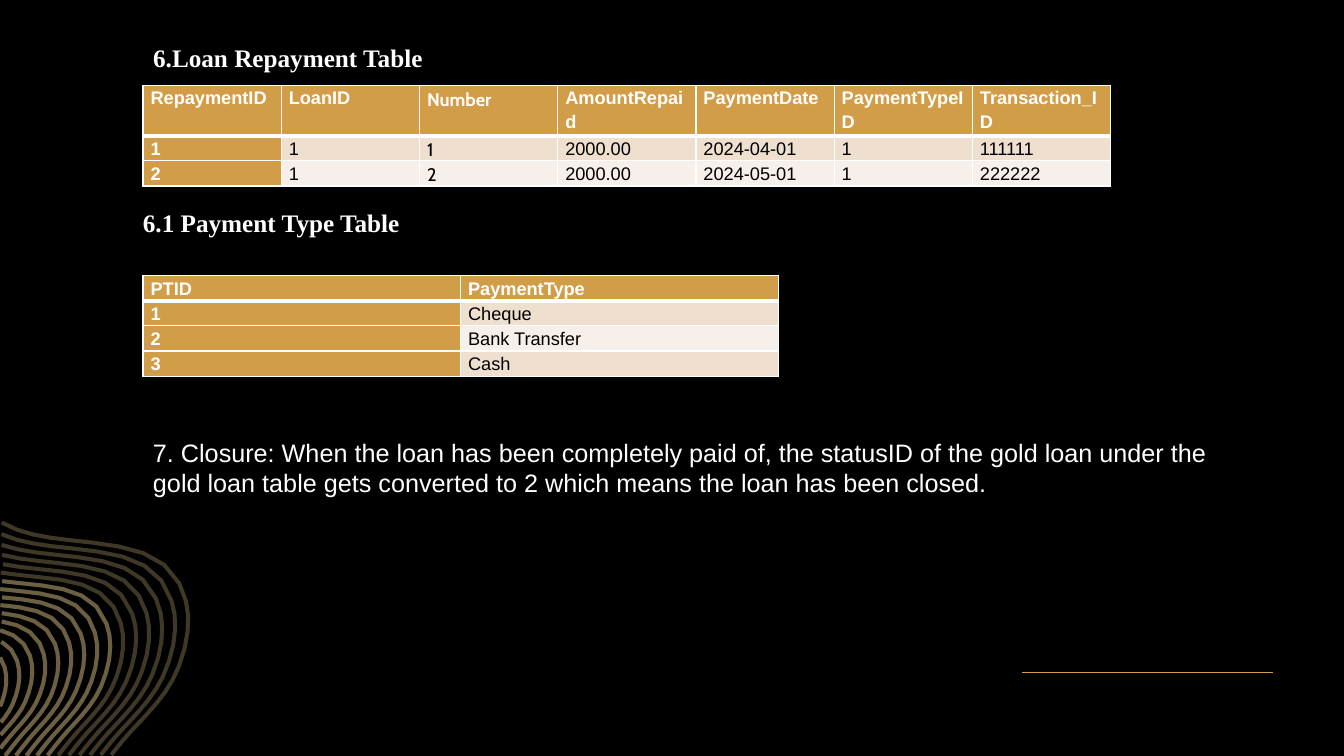
import math

import pptx
import pptx.dml.color
import pptx.enum.shapes
import pptx.enum.text
import pptx.oxml
import pptx.oxml.ns
import pptx.util

Pt = pptx.util.Pt
WIDTH, HEIGHT = 960, 540
GOLD, SAND, WHITE, BLACK = "D29D48", "D6BB82", "FFFFFF", "000000"
BANDING = ["EEDFCF", "F7EFE9"]
WAVE_COUNT, INNER_WAVE_COUNT, WAVE_THICKNESS = 15, 9, 2.9
OUTER_WAVE = [(0, 370.8), (15.8, 380.9), (36, 383), (57.6, 385.2),
              (89.3, 388.8), (121.7, 391.7), (132.5, 423.4),
              (138.2, 438.5), (136.8, 457.9), (128.2, 478.8),
              (121.7, 494.6), (110.2, 506.9), (98.6, 519.1),
              (90, 528), (82, 538), (75.6, 547.2)]
INNER_WAVE = [(-93.2, 441.4), (-77.4, 451.5), (-57.2, 453.6), (-35.6, 455.8),
              (-19.1, 456.8), (-1.8, 458.5), (4, 474),
              (7.2, 483.1), (6.5, 492.5), (2.2, 503.3),
              (-0.7, 511.2), (-6.5, 517.7), (-12.2, 524.2),
              (-17, 530), (-24, 539), (-30.2, 547.2)]
REPAYMENTS = [
    ["RepaymentID", "LoanID", "Number", "AmountRepaid", "PaymentDate",
     "PaymentTypeID", "Transaction_ID"],
    ["1", "1", "1", "2000.00", "2024-04-01", "1", "111111"],
    ["2", "1", "2", "2000.00", "2024-05-01", "1", "222222"],
]
PAYMENT_TYPES = [["PTID", "PaymentType"], ["1", "Cheque"],
                 ["2", "Bank Transfer"], ["3", "Cash"]]
CLOSURE = ("7. Closure: When the loan has been completely paid of, the statusID "
           "of the gold loan under the gold loan table gets converted to 2 "
           "which means the loan has been closed.")


def rgb(color):
    """Return the colour for a hex string."""
    return pptx.dml.color.RGBColor.from_string(color)


def write(tf, text, size=18, font="Arial", color=WHITE, bold=False, spacing=1.0):
    """Write one left-aligned paragraph into a text frame."""
    tf.word_wrap = True
    p = tf.paragraphs[0]
    p.alignment = pptx.enum.text.PP_ALIGN.LEFT
    p.line_spacing = spacing
    r = p.add_run()
    r.text = text
    r.font.size = Pt(size)
    r.font.name = font
    r.font.bold = bold
    r.font.color.rgb = rgb(color)


def add_text(slide, box, text, **fmt):
    """Add a text box that grows with its text."""
    sp = slide.shapes.add_textbox(*map(Pt, box))
    write(sp.text_frame, text, **fmt)
    sp.text_frame.auto_size = pptx.enum.text.MSO_AUTO_SIZE.SHAPE_TO_FIT_TEXT


def set_title(slide, box, text, **fmt):
    """Place and format the title placeholder."""
    sp = slide.shapes.title
    sp.left, sp.top, sp.width, sp.height = map(Pt, box)
    tf = sp.text_frame
    tf.vertical_anchor = pptx.enum.text.MSO_ANCHOR.TOP
    tf.auto_size = pptx.enum.text.MSO_AUTO_SIZE.NONE
    write(tf, text, **fmt)


def set_borders(cell, **widths):
    """Draw white borders on a cell, with widths keyed by side."""
    tcPr = cell._tc.get_or_add_tcPr()
    for i, side in enumerate("LRTB"):
        ln = pptx.oxml.parse_xml(
            f'<a:ln{side} {pptx.oxml.ns.nsdecls("a")} w="{Pt(widths.get(side, 1))}">'
            f'<a:solidFill><a:srgbClr val="{WHITE}"/></a:solidFill></a:ln{side}>')
        tcPr.insert(i, ln)


def add_table(slide, left, top, width, header_height, rows, cabin_col=None):
    """Add a gold table with a header row, a header column and banded cells."""
    row_height = 17.9
    height = header_height + row_height * (len(rows) - 1)
    table = slide.shapes.add_table(
        len(rows), len(rows[0]), Pt(left), Pt(top), Pt(width), Pt(height)).table
    for col in table.columns:
        col.width = Pt(width / len(rows[0]))
    for i, row in enumerate(rows):
        table.rows[i].height = Pt(row_height if i else header_height)
        for j, text in enumerate(row):
            cell = table.cell(i, j)
            cell.margin_left = cell.margin_right = Pt(5.4)
            cell.margin_top = cell.margin_bottom = 0
            header = i == 0 or j == 0
            cell.fill.solid()
            cell.fill.fore_color.rgb = rgb(GOLD if header else BANDING[(i - 1) % 2])
            set_borders(cell, T=3 if i == 1 else 1, B=1 if i else 3)
            write(cell.text_frame, text, size=13, bold=header, spacing=1.15,
                  color=WHITE if header else BLACK,
                  font="Cabin" if j == cabin_col else "Arial")


def sample_curve(controls, steps=24):
    """Return points along a chain of cubic curves."""
    points = [controls[0]]
    for i in range(0, len(controls) - 1, 3):
        for n in range(1, steps + 1):
            t = n / steps
            weights = [math.comb(3, k) * t ** k * (1 - t) ** (3 - k) for k in range(4)]
            points.append(tuple(sum(w * c[axis] for w, c in zip(weights, controls[i:i + 4]))
                                for axis in (0, 1)))
    return points


def wave_points(share, stride=5):
    """Return the on-slide wave at a share of the way from outer to inner."""
    controls = [(xo + (xi - xo) * share, yo + (yi - yo) * share)
                for (xo, yo), (xi, yi) in zip(OUTER_WAVE, INNER_WAVE)]
    edge = sample_curve(controls)
    middle = []
    for (x1, y1), (x2, y2) in zip(edge, edge[1:]):
        scale = WAVE_THICKNESS / 2 / math.hypot(x2 - x1, y2 - y1)
        x, y = x1 - (y2 - y1) * scale, y1 + (x2 - x1) * scale
        if x >= 0 and y <= HEIGHT:
            middle.append((Pt(x), Pt(y)))
    return middle[:-1:stride] + middle[-1:]


def add_waves(slide, count):
    """Add the innermost waves as one translucent freeform."""
    last = WAVE_COUNT - 1
    waves = [wave_points(i / last) for i in range(WAVE_COUNT - count, WAVE_COUNT)]
    builder = slide.shapes.build_freeform(*waves[0][0])
    for i, wave in enumerate(waves):
        if i:
            builder.move_to(*wave[0])
        builder.add_line_segments(wave[1:], close=False)
    sp = builder.convert_to_shape()
    sp.shadow.inherit = False
    sp.fill.background()
    sp.line.width = Pt(WAVE_THICKNESS)
    sp.line.color.rgb = rgb(SAND)
    color = sp._element.spPr.find(".//" + pptx.oxml.ns.qn("a:srgbClr"))
    color.append(pptx.oxml.parse_xml(
        f'<a:alpha {pptx.oxml.ns.nsdecls("a")} val="30000"/>'))


def add_line(slide, x1, y1, x2, y2):
    """Add a thin gold line."""
    line = slide.shapes.add_connector(
        pptx.enum.shapes.MSO_CONNECTOR.STRAIGHT, Pt(x1), Pt(y1), Pt(x2), Pt(y2))
    line.line.color.rgb = rgb(GOLD)
    line.line.width = Pt(0.75)
    line._element.spPr.append(pptx.oxml.parse_xml(
        f'<a:effectLst {pptx.oxml.ns.nsdecls("a")}/>'))


def main():
    """Build the loan repayment slide."""
    prs = pptx.Presentation()
    prs.slide_width, prs.slide_height = Pt(WIDTH), Pt(HEIGHT)
    slide = prs.slides.add_slide(prs.slide_layouts[5])
    slide.background.fill.solid()
    slide.background.fill.fore_color.rgb = rgb(BLACK)
    add_line(slide, 909.4, 480.2, 730.1, 480.2)
    add_waves(slide, WAVE_COUNT)
    add_waves(slide, INNER_WAVE_COUNT)
    heading = dict(font="Times New Roman", bold=True)
    set_title(slide, (102.2, 26.6, 385.2, 28.8), "6.Loan Repayment Table", **heading)
    add_text(slide, (95, 144.9, 385.2, 28.8), "6.1 Payment Type Table", **heading)
    add_table(slide, 102.2, 196.8, 453.6, 17.9, PAYMENT_TYPES)
    add_table(slide, 102.2, 61, 691.2, 35.8, REPAYMENTS, cabin_col=2)
    add_text(slide, (102.2, 308.9, 781.2, 51.1), CLOSURE)
    prs.save("out.pptx")


if __name__ == "__main__":
    main()
